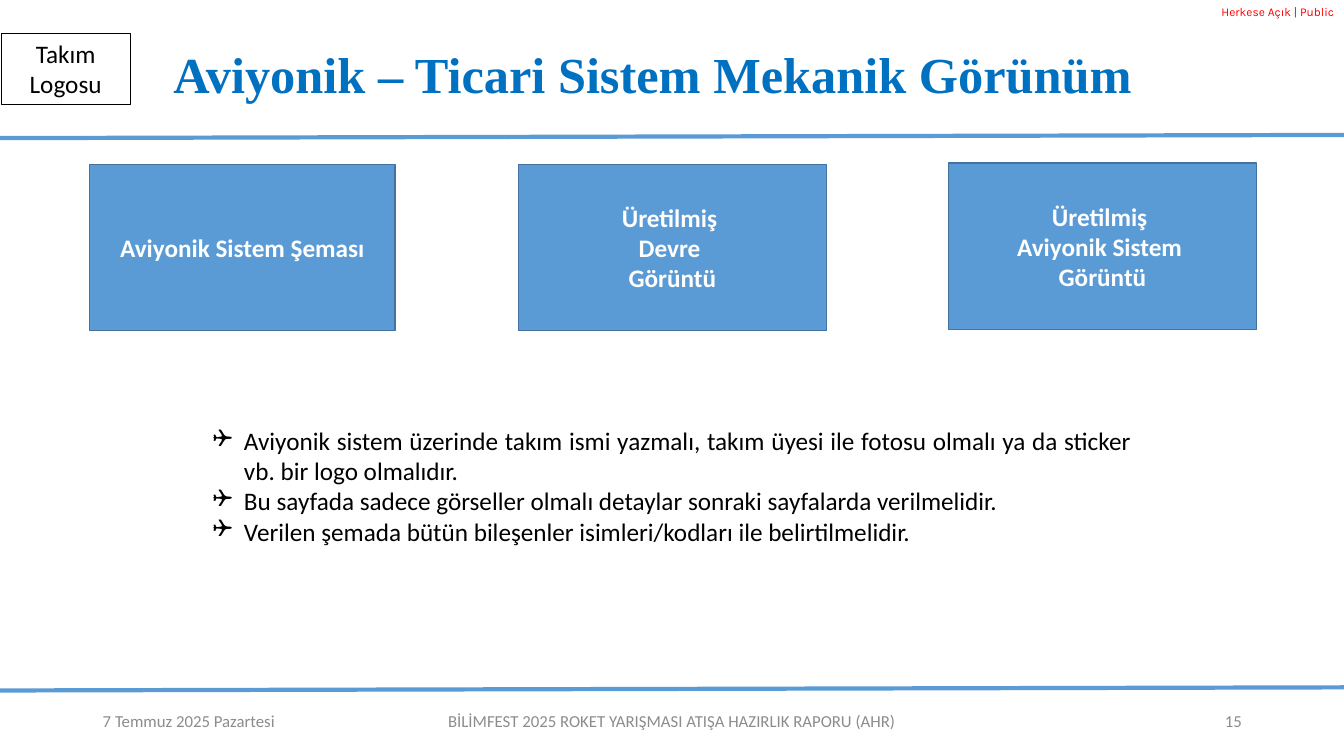
from dataclasses import dataclass
from typing import Any, Optional

from lxml import etree
from pptx import Presentation
from pptx.dml.color import RGBColor
from pptx.enum.shapes import MSO_CONNECTOR, MSO_SHAPE
from pptx.enum.text import MSO_ANCHOR, MSO_AUTO_SIZE, PP_ALIGN
from pptx.oxml.ns import qn
from pptx.util import Cm, Pt

LEFT, MID, RIGHT, FULL = PP_ALIGN.LEFT, PP_ALIGN.CENTER, PP_ALIGN.RIGHT, PP_ALIGN.JUSTIFY
TOP, CORE, BASE = MSO_ANCHOR.TOP, MSO_ANCHOR.MIDDLE, MSO_ANCHOR.BOTTOM
FIXED = MSO_AUTO_SIZE.NONE
RECT = MSO_SHAPE.RECTANGLE
STRAIGHT = MSO_CONNECTOR.STRAIGHT


@dataclass(frozen=True)
class Theme:
    red: str = "FF0000"
    blue: str = "5B9BD5"
    edge: str = "43739E"
    head: str = "0070C0"
    grey: str = "8C8C8C"
    black: str = "000000"
    white: str = "FFFFFF"
    body: str = "Calibri"
    serif: str = "Times New Roman"
    mark: str = "Karla"
    tiny: float = 8.5
    small: float = 12
    text: float = 18
    large: float = 36
    thin: float = 0.75
    rim: float = 1
    rule: float = 3


THEME = Theme()


@dataclass(frozen=True)
class Style:
    size: float
    color: str
    name: str = THEME.body
    bold: bool = False
    align: Any = MID
    anchor: Any = CORE
    lead: Optional[float] = None
    bullet: str = ""


@dataclass(frozen=True)
class Item:
    left: float
    top: float
    width: float
    height: float
    lines: tuple[str, ...]
    style: Style
    fill: Optional[str] = None
    edge: Optional[str] = None
    weight: float = THEME.rim


@dataclass(frozen=True)
class Rule:
    start: float
    end: float


WIDE, HIGH = 33.87, 19.05
FOOT, FOOT_H = 17.65, 1.02
PANEL_H = 4.19

LABEL = Style(THEME.text, THEME.white, bold=True)
RULES = (Rule(3.48, 3.4), Rule(17.4, 17.32))
TITLE = Item(3.91, 0.69, 25.4, 2.08, ("Aviyonik – Ticari Sistem Mekanik Görünüm ",),
             Style(THEME.large, THEME.head, THEME.serif, True, anchor=BASE, lead=0.9))


def panel(left: float, top: float, width: float, *lines: str) -> Item:
    return Item(left, top, width, PANEL_H, lines, LABEL, THEME.blue, THEME.edge)


def footer(left: float, width: float, line: str, align: Any) -> Item:
    return Item(left, FOOT, width, FOOT_H, (line,),
                Style(THEME.small, THEME.grey, align=align))


ITEMS = (
    Item(0, 0, WIDE, 0.61, ("Herkese Açık |\u00a0Public".replace("\u00a0", " "),),
         Style(THEME.tiny, THEME.red, THEME.mark, align=RIGHT, anchor=TOP)),
    Item(0.03, 0.84, 3.25, 1.8, ("Takım Logosu",),
         Style(THEME.text, THEME.black, anchor=TOP), edge=THEME.black, weight=THEME.thin),
    panel(2.26, 4.14, 7.7, "Aviyonik Sistem Şeması"),
    panel(13.06, 4.14, 7.77, "Üretilmiş ", "Devre ", "Görüntü"),
    panel(23.9, 4.11, 7.77, "Üretilmiş ", "Aviyonik Sistem ", "Görüntü"),
    Item(5.11, 10.59, 23.65, 4.11, (
        "Aviyonik sistem üzerinde takım ismi yazmalı, takım üyesi ile fotosu olmalı"
        " ya da sticker vb. bir logo olmalıdır.",
        "Bu sayfada sadece görseller olmalı detaylar sonraki sayfalarda verilmelidir.",
        "Verilen şemada bütün bileşenler isimleri/kodları ile belirtilmelidir.",
    ), Style(THEME.text, THEME.black, align=FULL, anchor=TOP, bullet="❑")),
    footer(2.34, 7.62, "7 Temmuz 2025 Pazartesi", LEFT),
    footer(7.04, 19.79, "BİLİMFEST 2025 ROKET YARIŞMASI ATIŞA HAZIRLIK RAPORU (AHR)", MID),
    footer(23.93, 7.62, "15", RIGHT),
)


def assign(target: Any, values: dict[str, Any]) -> None:
    for key, value in values.items():
        setattr(target, key, value)


def add_mark(para: Any, mark: str) -> None:
    props = para._p.get_or_add_pPr()
    indent = Cm(0.79)
    props.set("marL", str(indent))
    props.set("indent", str(-indent))
    etree.SubElement(props, qn("a:buFont")).set("typeface", "Wingdings")
    etree.SubElement(props, qn("a:buChar")).set("char", mark)


def write(shape: Any, item: Item) -> None:
    style, frame = item.style, shape.text_frame
    assign(frame, {"word_wrap": True, "auto_size": FIXED, "vertical_anchor": style.anchor})
    for index, line in enumerate(item.lines):
        para = frame.add_paragraph() if index else frame.paragraphs[0]
        if style.bullet:
            add_mark(para, style.bullet)
        para.add_run().text = line
        assign(para, {"alignment": style.align, "line_spacing": style.lead})
        font = para.runs[0].font
        assign(font, {"size": Pt(style.size), "name": style.name, "bold": style.bold})
        font.color.rgb = RGBColor.from_string(style.color)


def draw(slide: Any, item: Item) -> None:
    place = [Cm(n) for n in (item.left, item.top, item.width, item.height)]
    if item.edge:
        shape = slide.shapes.add_shape(RECT, *place)
        shape.shadow.inherit = False
        shape.line.color.rgb = RGBColor.from_string(item.edge)
        shape.line.width = Pt(item.weight)
        if item.fill:
            shape.fill.solid()
            shape.fill.fore_color.rgb = RGBColor.from_string(item.fill)
        else:
            shape.fill.background()
    else:
        shape = slide.shapes.add_textbox(*place)
    write(shape, item)


def draw_rule(slide: Any, rule: Rule) -> None:
    line = slide.shapes.add_connector(STRAIGHT, 0, Cm(rule.start), Cm(WIDE), Cm(rule.end))
    line.line.color.rgb = RGBColor.from_string(THEME.blue)
    line.line.width = Pt(THEME.rule)
    etree.SubElement(line._element.spPr, qn("a:effectLst"))


def main() -> None:
    deck = Presentation()
    assign(deck, {"slide_width": Cm(WIDE), "slide_height": Cm(HIGH)})
    slide = deck.slides.add_slide(deck.slide_layouts.get_by_name("Title Only"))
    title = slide.shapes.title
    assign(title, {"left": Cm(TITLE.left), "top": Cm(TITLE.top),
                   "width": Cm(TITLE.width), "height": Cm(TITLE.height)})
    write(title, TITLE)
    for rule in RULES:
        draw_rule(slide, rule)
    for item in ITEMS:
        draw(slide, item)
    deck.save("out.pptx")


if __name__ == "__main__":
    main()
